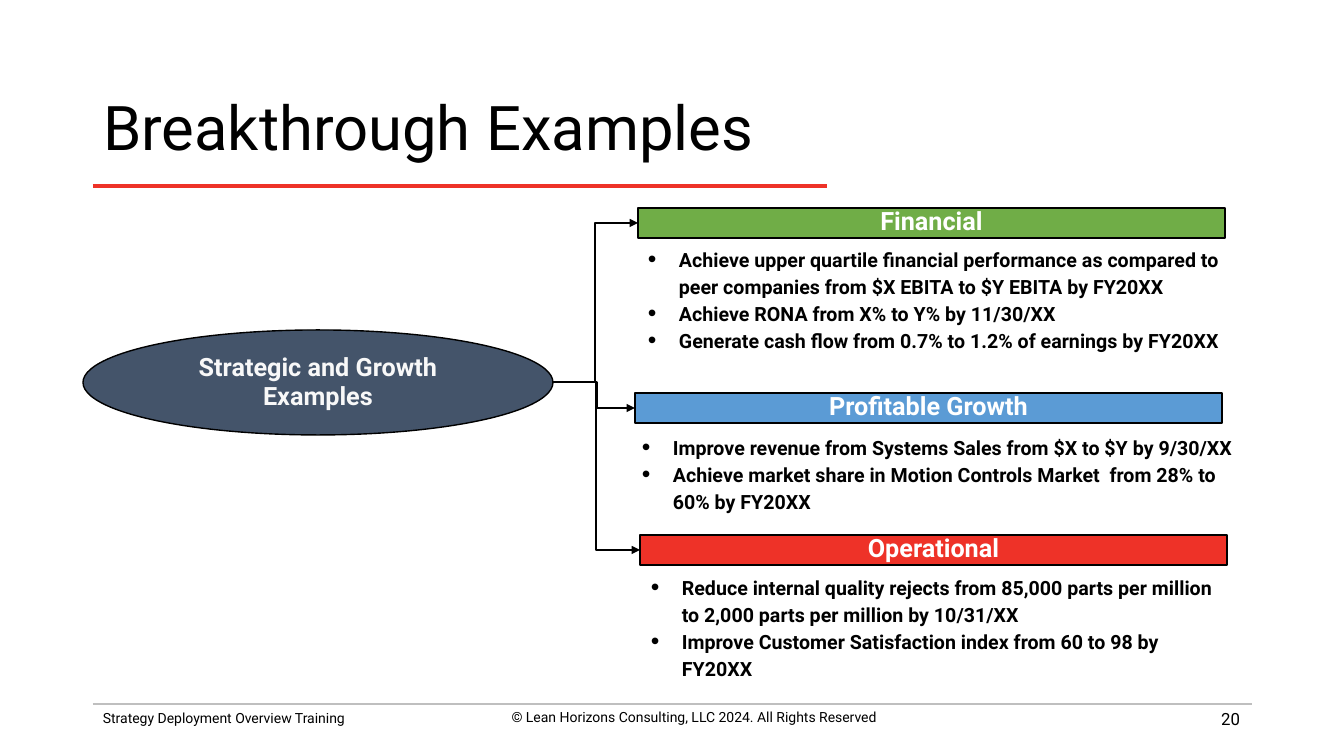
"""Builds the Breakthrough Examples slide."""
from lxml import etree
from pptx import Presentation
from pptx.dml.color import RGBColor
from pptx.enum.shapes import MSO_CONNECTOR, MSO_SHAPE
from pptx.enum.text import MSO_ANCHOR, PP_ALIGN
from pptx.oxml.ns import qn
from pptx.util import Emu, Pt

STRAIGHT, ELBOW = MSO_CONNECTOR.STRAIGHT, MSO_CONNECTOR.ELBOW
RECT, OVAL = MSO_SHAPE.RECTANGLE, MSO_SHAPE.OVAL
LEFT, CENTER, RIGHT = PP_ALIGN.LEFT, PP_ALIGN.CENTER, PP_ALIGN.RIGHT
TOP, MIDDLE = MSO_ANCHOR.TOP, MSO_ANCHOR.MIDDLE

FONT = "Roboto"
BLACK, WHITE = "000000", "FFFFFF"
TITLE = "Breakthrough Examples"
HUB = "Strategic and Growth\vExamples"
HUB_BOX = (83, 330, 470, 105)
HEADER_W, HEADER_H = 587, 30
INDENT = 31

GOALS = [
    {"name": "Financial", "color": "70AD47", "at": (638, 208),
     "list_box": (638, 239, 603, 99), "start": 552,
     "items": ["Achieve upper quartile financial performance as compared to "
               "peer companies from $X EBITA to $Y EBITA by FY20XX",
               "Achieve RONA from X% to Y% by 11/30/XX",
               "Generate cash flow from 0.7% to 1.2% of earnings by FY20XX"]},
    {"name": "Profitable Growth", "color": "5B9BD5", "at": (635, 393),
     "list_box": (632, 427, 619, 73), "start": 558,
     "items": ["Improve revenue from Systems Sales from $X to $Y by 9/30/XX",
               "Achieve market share in Motion Controls Market  from 28% to "
               "60% by FY20XX"]},
    {"name": "Operational", "color": "EE3228", "at": (640, 535),
     "list_box": (641, 567, 601, 110), "start": 552,
     "items": ["Reduce internal quality rejects from 85,000 parts per million "
               "to 2,000 parts per million by 10/31/XX",
               "Improve Customer Satisfaction index from 60 to 98 by FY20XX"]},
]
FOOTER = [
    ("Strategy Deployment Overview Training", (93, 705, 460, 44), 10, LEFT, TOP),
    ("© Lean Horizons Consulting, LLC 2024. All Rights Reserved",
     (464, 704, 460, 44), 10, CENTER, TOP),
    ("20", (948, 699, 302, 40), 12, RIGHT, MIDDLE),
]
RULES = [((93, 704, 1252, 704), "BFBFBF", 2), ((93, 186, 827, 186), "EE3228", 3)]


def px(*values):
    return [Emu(round(v * 914400 / 100.8)) for v in values]


def rgb(color):
    return RGBColor.from_string(color)


def add_bullet(p):
    pPr = p._p.get_or_add_pPr()
    indent = px(INDENT)[0]
    pPr.set("marL", str(indent))
    pPr.set("indent", str(-indent))
    etree.SubElement(pPr, qn("a:buSzPct")).set("val", "125000")
    etree.SubElement(pPr, qn("a:buFont")).set("typeface", "Arial")
    etree.SubElement(pPr, qn("a:buChar")).set("char", "•")


def write(sp, *lines, size, color=BLACK, bold=False, align=LEFT, anchor=TOP,
          spacing=1.0, wrap=True, bullets=False):
    tf = sp.text_frame
    tf.word_wrap = wrap
    tf.vertical_anchor = anchor
    for i, line in enumerate(lines):
        p = tf.add_paragraph() if i else tf.paragraphs[0]
        p.text = line
        if bullets:
            add_bullet(p)
        p.alignment = align
        p.line_spacing = spacing
        for r in p.runs:
            r.font.name, r.font.size, r.font.bold = FONT, Pt(size), bold
            r.font.color.rgb = rgb(color)


def add_box(slide, kind, box, fill):
    sp = slide.shapes.add_shape(kind, *px(*box))
    sp.shadow.inherit = False
    sp.fill.solid()
    sp.fill.fore_color.rgb = rgb(fill)
    sp.line.color.rgb = rgb(BLACK)
    sp.line.width = Pt(1)
    return sp


def add_line(slide, kind, ends, color, width, arrow=False):
    line = slide.shapes.add_connector(kind, *px(*ends))
    line.line.color.rgb = rgb(color)
    line.line.width = Pt(width)
    if arrow:
        tail = etree.SubElement(line.line._get_or_add_ln(), qn("a:tailEnd"))
        tail.set("type", "triangle")
    etree.SubElement(line._element.spPr, qn("a:effectLst"))
    return line


def main():
    prs = Presentation()
    prs.slide_width, prs.slide_height = px(1344, 756)
    slide = prs.slides.add_slide(prs.slide_layouts[5])

    for ends, color, width in RULES:
        add_line(slide, STRAIGHT, ends, color, width)
    for text, box, size, align, anchor in FOOTER:
        sp = slide.shapes.add_textbox(*px(*box))
        write(sp, text, size=size, align=align, anchor=anchor)

    title = slide.shapes.title
    title.left, title.top, title.width, title.height = px(93, 75, 1159, 111)
    write(title, TITLE, size=44, anchor=MIDDLE, spacing=0.9)

    hub = add_box(slide, OVAL, HUB_BOX, "44546A")
    write(hub, HUB, size=18, color="F8F8F8", bold=True, align=CENTER,
          anchor=MIDDLE, spacing=0.95, wrap=False)
    hub_y = HUB_BOX[1] + HUB_BOX[3] // 2

    for goal in GOALS:
        x, y = goal["at"]
        header = add_box(slide, RECT, (x, y, HEADER_W, HEADER_H), goal["color"])
        write(header, goal["name"], size=18, color=WHITE, bold=True,
              align=CENTER, anchor=MIDDLE, spacing=0.8, wrap=False)
        body = slide.shapes.add_textbox(*px(*goal["list_box"]))
        write(body, *goal["items"], size=14, bold=True, spacing=1.15, bullets=True)
        ends = (goal["start"], hub_y, x, y + HEADER_H // 2)
        arrow = add_line(slide, ELBOW, ends, BLACK, 1.5, arrow=True)
        arrow.end_connect(header, 1)

    prs.save("out.pptx")


if __name__ == "__main__":
    main()
